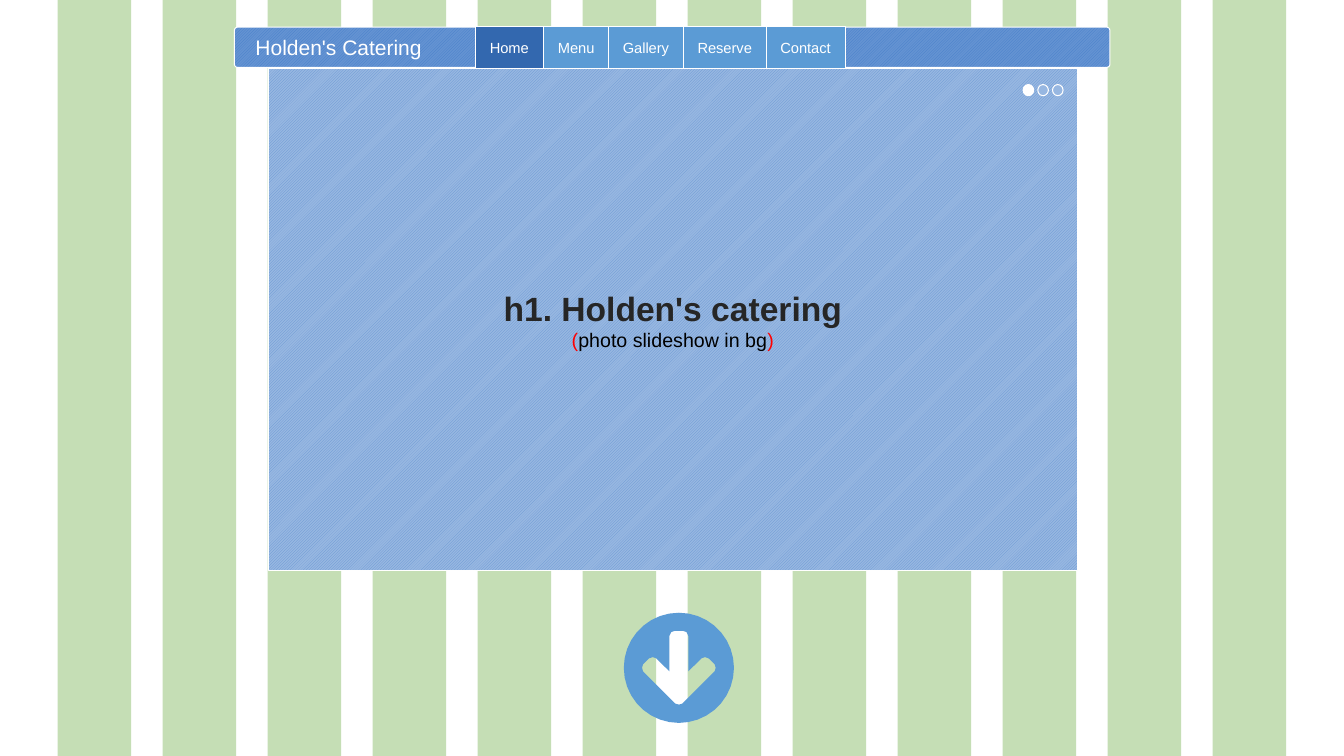
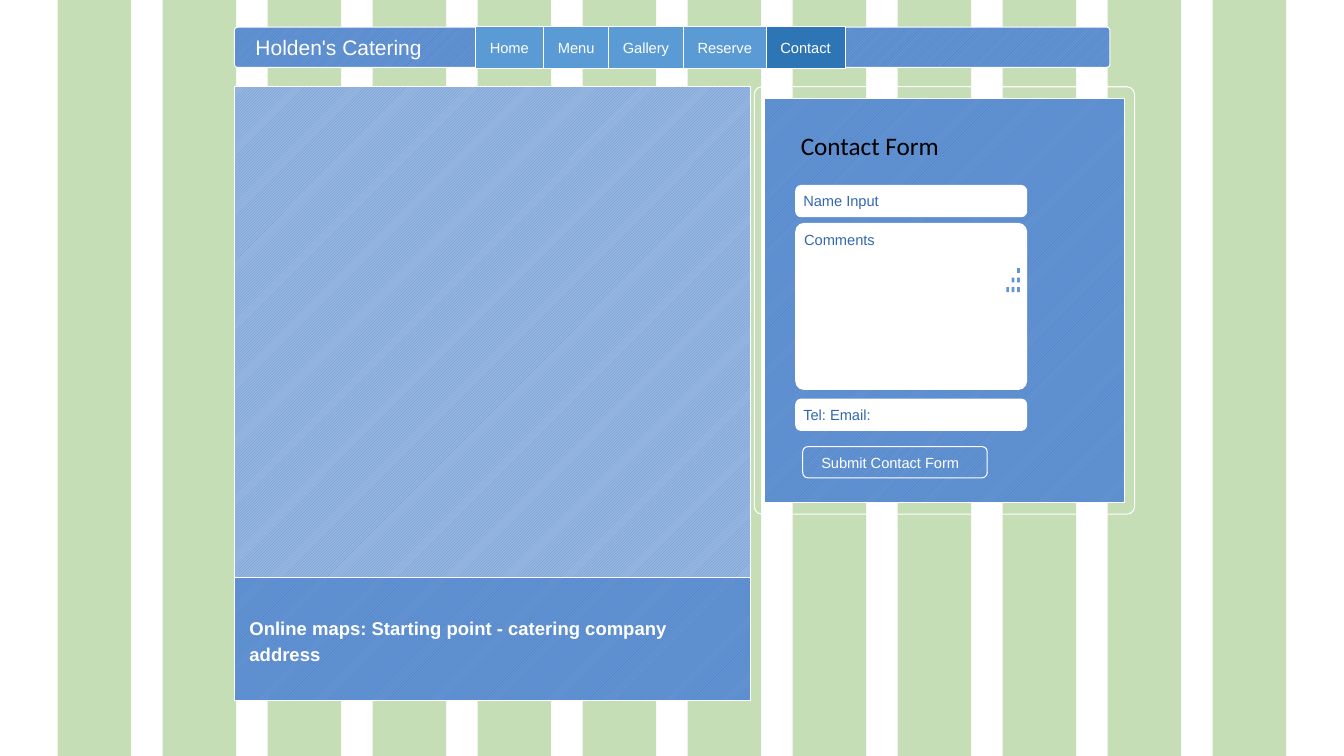
from math import cos, sin, tau

from lxml import etree
from pptx import Presentation
from pptx.dml.color import RGBColor
from pptx.enum import dml, shapes, text
from pptx.oxml.ns import qn
from pptx.util import Pt

HEX = {
    "white": "FFFFFF", "black": "000000", "ink": "262626", "red": "FF0000",
    "green": "70AD47", "tab": "5B9BD5", "home": "3368AF", "contact": "2E75B6",
    "deep": "437CC9", "mid": "6493D2", "pale": "97B7E1",
}
DARK = ("deep", "mid")
LIGHT = ("mid", "pale")
RECT = shapes.MSO_SHAPE.RECTANGLE
ROUND = shapes.MSO_SHAPE.ROUNDED_RECTANGLE
OVAL = shapes.MSO_SHAPE.OVAL
MID = text.MSO_ANCHOR.MIDDLE
TOP = text.MSO_ANCHOR.TOP
LEFT = text.PP_ALIGN.LEFT
MENU = [("Home", 48.6), ("Menu", 46.4), ("Gallery", 53.4), ("Reserve", 59.2), ("Contact", 56.3)]

# Right half of the arrow, from tip to top, measured from the circle's centre
ARROW = [(0, 26.3), (2.5, 25.6), (25.6, 2.5), (26.3, 0), (25.6, -2.5),
         (21.2, -6.8), (18.7, -7.6), (16.2, -6.8), (6.8, 2.5),
         (6.8, -22.7), (5.4, -25.6), (3.2, -26.3)]


def rgb(name):
    return RGBColor.from_string(HEX[name])


def paint(shape, fill, line="white"):
    """Fill with a colour name, a (front, back) hatch pair, or None."""
    shape.shadow.inherit = False
    if fill is None:
        shape.fill.background()
    elif isinstance(fill, tuple):
        shape.fill.patterned()
        shape.fill.pattern = dml.MSO_PATTERN.LIGHT_UPWARD_DIAGONAL
        shape.fill.fore_color.rgb, shape.fill.back_color.rgb = map(rgb, fill)
    else:
        shape.fill.solid()
        shape.fill.fore_color.rgb = rgb(fill)
    if line:
        shape.line.color.rgb = rgb(line)
        shape.line.width = Pt(0.75)
    else:
        shape.line.fill.background()


def draw(slide, box, fill, line="white", kind=RECT, adj=None):
    shape = slide.shapes.add_shape(kind, *map(Pt, box))
    paint(shape, fill, line)
    if adj is not None:
        shape.adjustments[0] = adj
    return shape


def trace(slide, x, y, rings, fill):
    """One outline made of closed rings, measured from the point x, y."""
    rings = [[(Pt(x + a), Pt(y + b)) for a, b in ring] for ring in rings]
    pen = slide.shapes.build_freeform(*rings[0][0])
    for i, ring in enumerate(rings):
        if i:
            pen.move_to(*ring[0])
        pen.add_line_segments(ring[1:], close=True)
    paint(pen.convert_to_shape(), fill, None)


def write(shape, *paras, ins=(7.2, 3.6, 7.2, 3.6), anchor=MID, align=LEFT, wrap=True):
    """Each paragraph is a list of runs: (words, size, colour, bold, font)."""
    frame = shape.text_frame
    frame.word_wrap = wrap
    frame.vertical_anchor = anchor
    (frame.margin_left, frame.margin_top,
     frame.margin_right, frame.margin_bottom) = map(Pt, ins)
    for i, runs in enumerate(paras):
        para = frame.add_paragraph() if i else frame.paragraphs[0]
        para.alignment = align
        for words, size, color, bold, face in runs:
            run = para.add_run()
            run.text = words
            run.font.size = Pt(size)
            run.font.bold = bold
            run.font.name = face
            run.font.color.rgb = rgb(color)
    return frame


def say(words, size, color="white", bold=False, face="Arial"):
    return words, size, color, bold, face


def stripe(slide, layout):
    """Put the green bands on the layout that all slides share."""
    for mark in list(layout.placeholders):
        layout.shapes.element.remove(mark.element)
    bands = [draw(slide, (41.2 + 75 * i, 0, 52.5, 540), "green", None) for i in range(12)]
    for band in bands:
        tint = band.element.spPr.find(qn("a:solidFill"))[0]
        etree.SubElement(tint, qn("a:alpha"), val="40000")
        layout.shapes.element.append(band.element)


def nav(slide, box, page, accent):
    x, y, w, h = box
    bar = draw(slide, box, DARK, kind=ROUND, adj=0.08)
    write(bar, [say("Holden's Catering", 15)], ins=(14.4, 3.6, 7.2, 3.6))
    # Tabs
    left = x + 172.4
    for name, wide in MENU:
        tab = draw(slide, (left, y - 0.3, wide, h + 1.2), accent if name == page else "tab")
        write(tab, [say(name, 10.5)], ins=(10.1, 8.6, 10.1, 8.6), wrap=False)
        left += wide


def hero(slide, box):
    x, y, w, h = box
    panel = draw(slide, box, LIGHT)
    write(panel,
          [say("h1. Holden's catering", 24, "ink", True)],
          [say("(", 14, "red"), say("photo slideshow in bg", 14, "black"),
           say(")", 14, "red")],
          align=text.PP_ALIGN.CENTER)
    # Slideshow dots
    for i in range(3):
        draw(slide, (x + w - 38.9 + 10.5 * i, y + 11.2, 7.6, 8),
             "pale" if i else "white", kind=OVAL)


def down(slide, box):
    """Disc with an arrow cut out of it."""
    x, y, w, h = box
    r = w / 2
    disc = [(r * cos(tau * i / 36), r * sin(tau * i / 36)) for i in range(36)]
    arrow = ARROW + [(-a, b) for a, b in reversed(ARROW[1:])]
    trace(slide, x + r, y + r, (disc, arrow), "tab")


def place(slide, box):
    """Map area with its caption."""
    x, y, w, h = box
    foot = 87.8
    draw(slide, box, LIGHT)
    label = draw(slide, (x, y + h - foot, w, foot), DARK)
    frame = write(label,
                  [say("Online maps: Starting point - catering company address", 13.2, bold=True)],
                  ins=(10.8, 3.6, 10.8, 3.6))
    frame.paragraphs[0].line_spacing = 1.2
    frame.paragraphs[0].space_after = Pt(4)


def form(slide, box):
    x, y, w, h = box
    draw(slide, box, None, kind=ROUND, adj=0.02)
    draw(slide, (x + 7.5, y + 8.6, 257, 288.6), DARK)
    title = slide.shapes.add_textbox(*map(Pt, (x + 26.1, y + 27.4, 210.2, 29)))
    write(title, [say("Contact Form", 18, "black", face="Calibri")], anchor=TOP)
    # Input fields
    for name, top, tall, adj, anchor in (("Name Input", 70.5, 22.3, 0.17, MID),
                                         ("Comments", 97.6, 118.6, 0.05, TOP),
                                         ("Tel: Email:", 223.1, 22.3, 0.17, MID)):
        field = draw(slide, (x + 29.6, y + top, 164.9, tall), "white", kind=ROUND, adj=adj)
        write(field, [say(name, 10.5, "home")], ins=(4.3, 3.6, 4.3, 3.6), anchor=anchor)
    # Resize grip
    cells = [(3.85 * col, 6.8 * row) for row in range(3) for col in range(2 - row, 3)]
    trace(slide, x + 180, y + 129.6,
          [[(a, b), (a + 1.9, b), (a + 1.9, b + 3.4), (a, b + 3.4)] for a, b in cells], "mid")
    # Button
    send = draw(slide, (x + 34.6, y + 257, 131.8, 22.3), DARK, kind=ROUND)
    write(send, [say("Submit Contact Form", 10.5)], ins=(12.2, 3.6, 18, 3.6), wrap=False)


def main():
    deck = Presentation()
    deck.slide_width, deck.slide_height = Pt(960), Pt(540)
    blank = deck.slide_layouts[6]
    bar = (167.4, 19.4, 625.4, 28.8)

    # Home page
    home = deck.slides.add_slide(blank)
    stripe(home, blank)
    nav(home, bar, "Home", "home")
    hero(home, (191.5, 49.2, 578.2, 358.2))
    down(home, (445.6, 437.7, 78.7, 78.7))

    # Contact page
    contact = deck.slides.add_slide(blank)
    nav(contact, bar, "Contact", "contact")
    place(contact, (167.4, 61.9, 369, 438.4))
    form(contact, (538.8, 62, 271.6, 305.3))

    deck.save("out.pptx")


if __name__ == "__main__":
    main()
